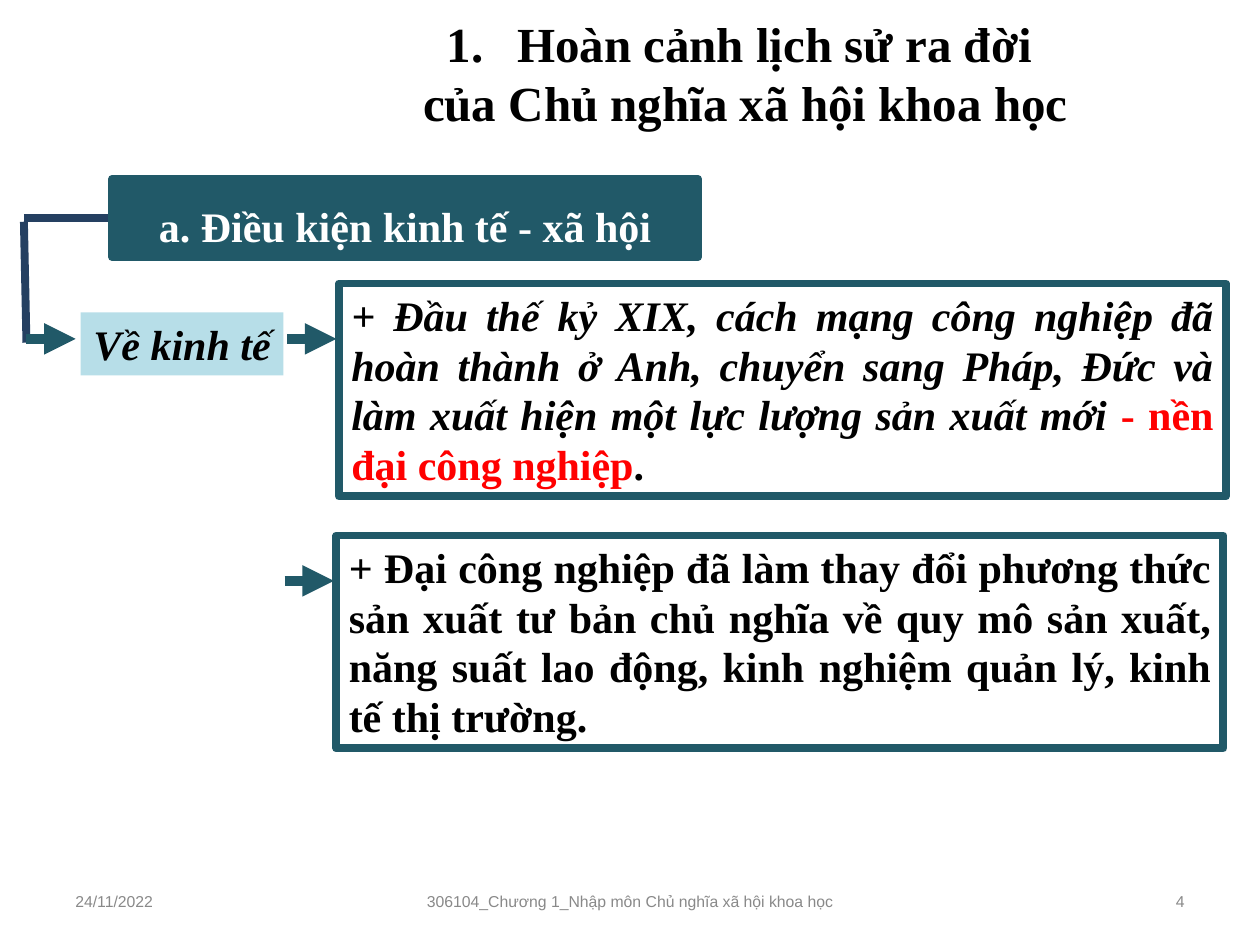
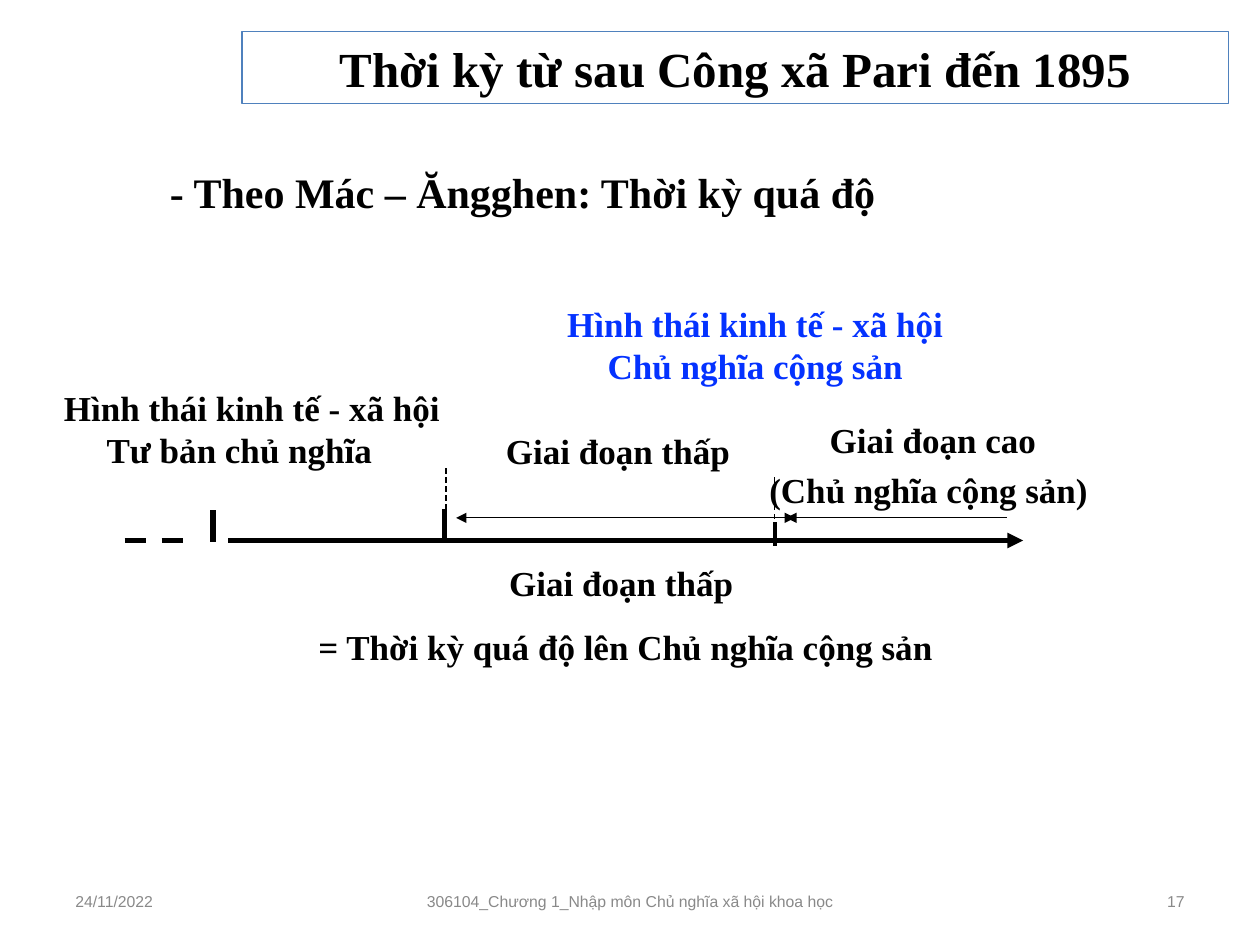
import dataclasses

import pptx
import pptx.dml.color
import pptx.enum.dml
import pptx.enum.shapes
import pptx.enum.text
import pptx.oxml.ns
import pptx.oxml.xmlchemy
import pptx.util

Inches = pptx.util.Inches
Pt = pptx.util.Pt
ALIGN = pptx.enum.text.PP_ALIGN
ANCHOR = pptx.enum.text.MSO_ANCHOR
DASH = pptx.enum.dml.MSO_LINE.DASH


@dataclasses.dataclass(frozen=True)
class Theme:
    teal: str = "215968"
    pale: str = "B7DEE8"
    navy: str = "254061"
    frame: str = "4F81BD"
    ink: str = "000000"
    white: str = "FFFFFF"
    red: str = "FF0000"
    blue: str = "0432FF"
    grey: str = "898989"
    serif: str = "Times New Roman"
    sans: str = "Arial"
    title_size: int = 28
    body_size: int = 24
    label_size: int = 20
    footer_size: int = 9


THEME = Theme()


@dataclasses.dataclass(frozen=True)
class Box:
    left: float
    top: float
    width: float
    height: float

    def inside(self, left, top, width, height):
        return Box(self.left + left, self.top + top, width, height)

    def lengths(self):
        return [Inches(side) for side in (self.left, self.top, self.width, self.height)]


def rgb(color):
    return pptx.dml.color.RGBColor.from_string(color)


def apply(target, values):
    for name, value in values.items():
        setattr(target, name, value)


def add_element(parent, tag, **attributes):
    element = pptx.oxml.xmlchemy.OxmlElement(tag)
    for name, value in attributes.items():
        element.set(name, value)
    parent.append(element)


def font(size, color=THEME.ink, **changes):
    return {"name": THEME.serif, "size": Pt(size), "bold": True, "color": color} | changes


TITLE = font(THEME.title_size)
BODY = font(THEME.body_size)
LABEL = font(THEME.label_size)
FOOTER = font(THEME.footer_size, THEME.grey, name=THEME.sans, bold=False)


def write(shape, paragraphs, font_format, para_format=None, anchor=ANCHOR.TOP, bottom=0.05):
    frame = shape.text_frame
    apply(frame, {
        "word_wrap": True,
        "auto_size": pptx.enum.text.MSO_AUTO_SIZE.NONE,
        "vertical_anchor": anchor,
        "margin_left": Inches(0.1),
        "margin_right": Inches(0.1),
        "margin_top": Inches(0.05),
        "margin_bottom": Inches(bottom),
    })
    for index, spans in enumerate(paragraphs):
        para = frame.add_paragraph() if index else frame.paragraphs[0]
        apply(para, {"alignment": ALIGN.CENTER} | (para_format or {}))
        for text, changes in [(spans, {})] if isinstance(spans, str) else spans:
            span = para.add_run()
            span.text = text
            values = font_format | changes
            span.font.color.rgb = rgb(values.pop("color"))
            apply(span.font, values)
    return frame


def indent(para, margin, first):
    properties = para._p.get_or_add_pPr()
    properties.set("marL", str(Inches(margin)))
    properties.set("indent", str(Inches(first)))
    return properties


def add_text(page, box, paragraphs, font_format, para_format=None, **options):
    shape = page.shapes.add_textbox(*box.lengths())
    return write(shape, paragraphs, font_format, para_format, **options)


def add_panel(page, box, fill=None, line=None):
    panel = page.shapes.add_shape(pptx.enum.shapes.MSO_SHAPE.RECTANGLE, *box.lengths())
    panel.shadow.inherit = False
    if fill:
        panel.fill.solid()
        panel.fill.fore_color.rgb = rgb(fill)
    else:
        panel.fill.background()
    if line:
        panel.line.color.rgb = rgb(line)
        panel.line.width = Pt(4.5)
    else:
        panel.line.fill.background()
    return panel


def add_line(page, box, start, end, color, width, ends=(), dash=None):
    points = [Inches(value) for value in (
        box.left + start[0], box.top + start[1], box.left + end[0], box.top + end[1])]
    line = page.shapes.add_connector(pptx.enum.shapes.MSO_CONNECTOR.STRAIGHT, *points)
    line.line.color.rgb = rgb(color)
    line.line.width = Pt(width)
    if dash:
        line.line.dash_style = dash
    properties = line._element.spPr
    outline = properties.find(pptx.oxml.ns.qn("a:ln"))
    for end_name in ends:
        add_element(outline, f"a:{end_name}End", type="triangle")
    add_element(properties, "a:effectLst")


def place_title(page, box, lines, anchor):
    title = page.shapes.title
    apply(title, dict(zip(("left", "top", "width", "height"), box.lengths())))
    write(title, lines, TITLE, anchor=anchor)
    return title


def place_footer(page, box, number):
    parts = [
        (0, 2.33, "24/11/2022", ALIGN.LEFT),
        (2.75, 3.5, "306104_Chương 1_Nhập môn Chủ nghĩa xã hội khoa học", ALIGN.CENTER),
        (6.67, 2.33, str(number), ALIGN.RIGHT),
    ]
    for left, width, text, alignment in parts:
        add_text(page, box.inside(left, 0, width, box.height), [text], FOOTER,
                 {"alignment": alignment}, anchor=ANCHOR.MIDDLE)


def place_conditions(page, box):
    heading = add_panel(page, box.inside(0.7, 0, 4.65, 0.62), THEME.teal, THEME.teal)
    write(heading, ["a. Điều kiện kinh tế - xã hội"], BODY | {"color": THEME.white},
          {"line_spacing": 1.3, "space_before": Pt(4.5), "space_after": Pt(4.5)})

    topic = add_panel(page, box.inside(0.45, 1.06, 1.61, 0.5), THEME.pale)
    write(topic, ["Về kinh tế"], BODY | {"italic": True})

    statements = [
        (2.5, 0.83, 1.27, [
            ("+ Đầu thế kỷ XIX, cách mạng công nghiệp đã hoàn thành ở Anh, chuyển sang "
             "Pháp, Đức và làm xuất hiện một lực lượng sản xuất mới", {"italic": True}),
            (" - nền đại công nghiệp", {"color": THEME.red}),
            (".", {}),
        ]),
        (2.48, 2.83, 3.19,
         "+ Đại công nghiệp đã làm thay đổi phương thức sản xuất tư bản chủ nghĩa về quy mô "
         "sản xuất, năng suất lao động, kinh nghiệm quản lý, kinh tế thị trường."),
    ]
    for left, top, arrow_top, spans in statements:
        panel = add_panel(page, box.inside(left, top, 7.04, 1.69), line=THEME.teal)
        write(panel, [spans], BODY, {
            "alignment": ALIGN.JUSTIFY, "line_spacing": Pt(28.5), "space_before": Pt(4.5)})
        add_line(page, box, (left - 0.41, arrow_top), (left - 0.02, arrow_top),
                 THEME.teal, 6, ["tail"])

    add_line(page, box, (0, 0.34), (0.02, 1.3), THEME.navy, 4.5)
    add_line(page, box, (0.02, 1.27), (0.41, 1.27), THEME.teal, 6, ["tail"])
    add_line(page, box, (0, 0.31), (0.67, 0.31), THEME.navy, 4.5)


def place_timeline(page, box):
    axis, span_top = 1.94, 1.76
    lines = [
        ((1.67, axis), (7.98, axis), 3, ["tail"], None),
        ((0.85, axis), (1.42, axis), 3, [], DASH),
        ((1.55, 1.7), (1.55, 1.95), 3, [], None),
        ((3.39, 1.69), (3.39, axis), 3, [], None),
        ((6.01, 1.98), (6.01, 1.79), 2.25, [], None),
        ((3.4, 1.91), (3.4, 1.35), 0.75, [], DASH),
        ((6.01, 1.91), (6.01, 1.41), 0.75, [], DASH),
        ((3.48, span_top), (6.17, span_top), 0.75, ["head", "tail"], None),
        ((6.1, span_top), (7.85, span_top), 0.75, ["head"], None),
    ]
    for start, end, width, ends, dash in lines:
        add_line(page, box, start, end, THEME.ink, width, ends, dash)

    labels = [
        ((0, 0.67, 3.52, 0.77), ["Hình thái kinh tế - xã hội Tư bản chủ nghĩa"], THEME.ink, 12.5),
        ((4.17, 0, 3.37, 0.77), ["Hình thái kinh tế - xã hội Chủ nghĩa cộng sản"], THEME.blue, 12.5),
        ((3.42, 1.01, 2.69, 0.44), ["Giai đoạn thấp"], THEME.ink, 12.5),
        ((5.85, 0.92, 2.76, 0.83), [" Giai đoạn cao", "(Chủ nghĩa cộng sản)"], THEME.ink, 4.5),
        ((2.23, 2.06, 5.19, 0.94),
         ["Giai đoạn thấp ", "= Thời kỳ quá độ lên Chủ nghĩa cộng sản"], THEME.ink, 12.5),
    ]
    frames = [
        add_text(page, box.inside(*place), paragraphs, LABEL | {"color": color},
                 {"space_before": Pt(before)})
        for place, paragraphs, color, before in labels
    ]
    indent(frames[0].paragraphs[0], 0, 0.2)


def build_conditions_page(page):
    title = place_title(page, Box(1.75, 0.06, 8.33, 1.04),
                        ["Hoàn cảnh lịch sử ra đời ", "của Chủ nghĩa xã hội khoa học"], ANCHOR.TOP)
    numbered, following = [indent(para, 0.56, -0.56) for para in title.text_frame.paragraphs]
    add_element(numbered, "a:buAutoNum", type="arabicPeriod")
    add_element(following, "a:buNone")
    place_conditions(page, Box(0.19, 1.42, 9.54, 4.52))


def build_transition_page(page):
    title = place_title(page, Box(1.92, 0.25, 7.83, 0.57),
                        ["Thời kỳ từ sau Công xã Pari đến 1895"], ANCHOR.MIDDLE)
    title.line.color.rgb = rgb(THEME.frame)
    title.line.width = Pt(0.75)
    add_text(page, Box(1.25, 1.36, 7.75, 0.44), ["- Theo Mác – Ăngghen: Thời kỳ quá độ"],
             BODY, {"alignment": ALIGN.LEFT}, anchor=ANCHOR.BOTTOM, bottom=0.08)
    place_timeline(page, Box(0.14, 2.35, 8.61, 3))


def main():
    deck = pptx.Presentation()
    deck.slide_width, deck.slide_height = Inches(10), Inches(7.5)
    title_only = deck.slide_layouts.get_by_name("Title Only")
    for build, number in ((build_conditions_page, 4), (build_transition_page, 17)):
        page = deck.slides.add_slide(title_only)
        build(page)
        place_footer(page, Box(0.5, 6.95, 9, 0.4), number)
    deck.save("out.pptx")


if __name__ == "__main__":
    main()
